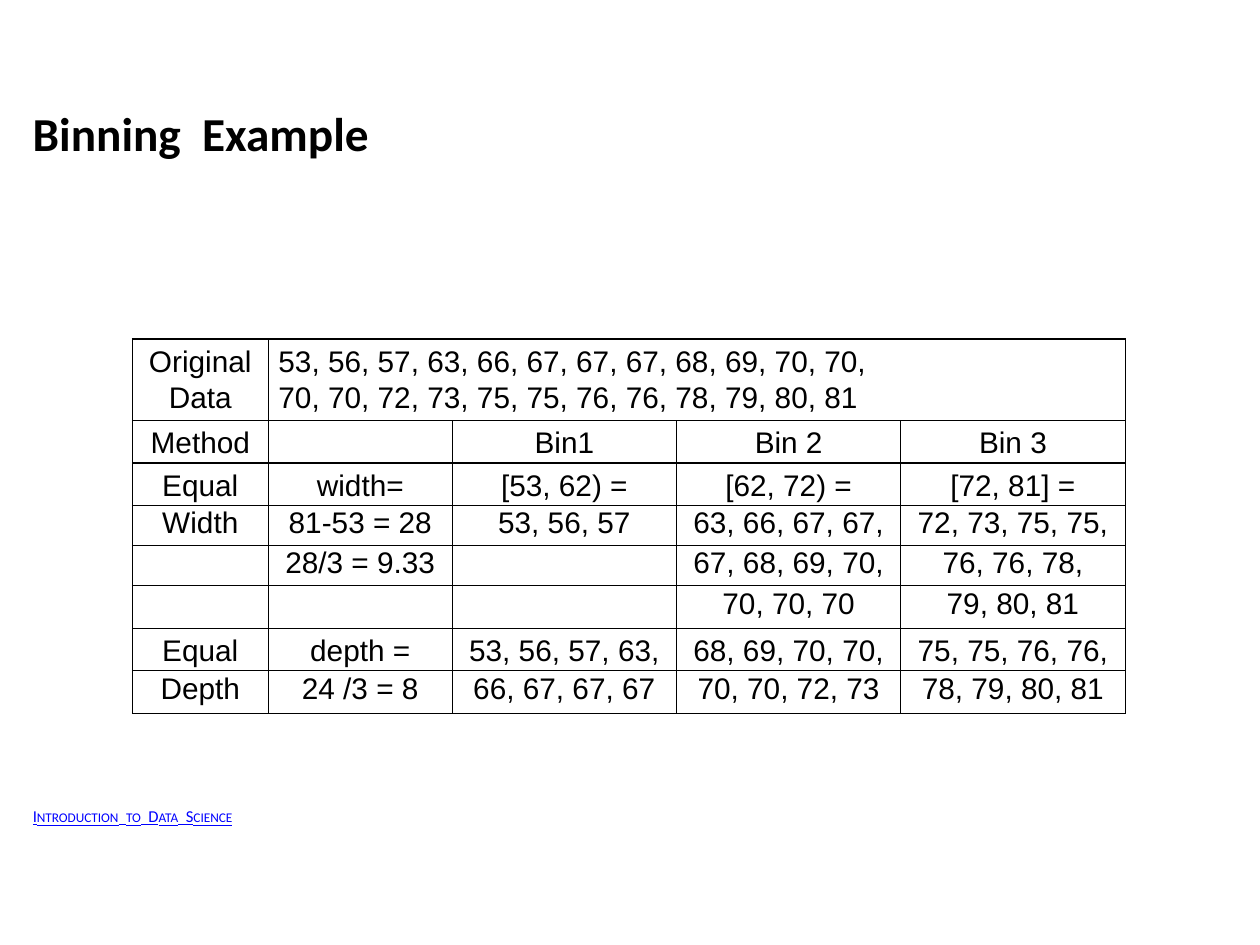
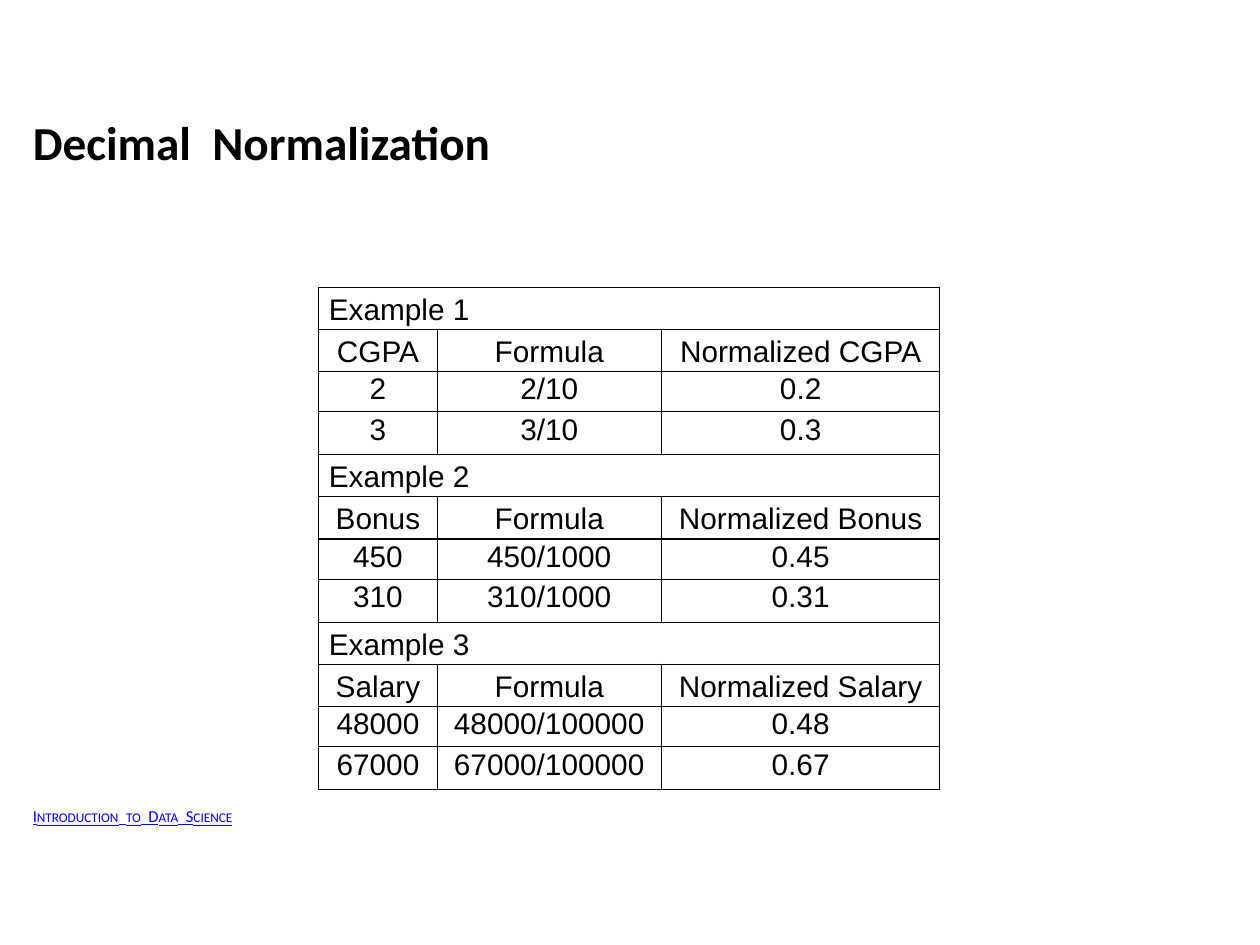
from dataclasses import dataclass
from itertools import groupby

from lxml import etree
from pptx import Presentation
from pptx.dml.color import RGBColor
from pptx.enum.text import MSO_AUTO_SIZE, PP_ALIGN
from pptx.oxml.ns import qn
from pptx.util import Inches, Pt

BLACK = RGBColor(0x00, 0x00, 0x00)
LINK_BLUE = RGBColor(0x00, 0x00, 0xFF)
CENTER, LEFT = PP_ALIGN.CENTER, PP_ALIGN.LEFT
FIT_SHAPE = MSO_AUTO_SIZE.SHAPE_TO_FIT_TEXT

HEADING_FONT, TABLE_FONT = "Calibri", "Arial"
PAGE_LEFT = 0.24
TEXT_INDENT, CELL_INDENT = 0.02, 0.08
BORDER_WIDTH = Pt(0.75)
FOOTER = "Introduction  to  Data  Science"


@dataclass
class Row:
    """A table row; an opening row starts a group and has taller lines."""
    texts: list[str]
    height: float
    opening: bool = False
    span_from: int | None = None  # first column of a left-aligned merged cell


@dataclass
class TablePage:
    title: str
    title_top: float
    title_width: float
    table_left: float
    table_top: float
    columns: list[float]
    rows: list[Row]


def indent(para, inches: float) -> None:
    properties = para._p.get_or_add_pPr()
    properties.set("marL", str(Inches(inches)))
    properties.set("indent", "0")


def style(font, name: str, size: float, color: RGBColor) -> None:
    font.name, font.size = name, Pt(size)
    font.color.rgb = color


def add_box(page, top: float, width: float, height: float, top_inset: float = 0):
    """Add an empty text box at the left page margin and return its paragraph."""
    box = page.shapes.add_textbox(Inches(PAGE_LEFT), Inches(top),
                                  Inches(width), Inches(height))
    frame = box.text_frame
    frame.word_wrap = True
    frame.auto_size = FIT_SHAPE
    frame.margin_left = frame.margin_right = frame.margin_bottom = 0
    frame.margin_top = Inches(top_inset)
    para = frame.paragraphs[0]
    indent(para, TEXT_INDENT)
    return para


def add_title(page, title: str, top: float, width: float) -> None:
    para = add_box(page, top, width, 0.48, 0.03)
    para.text = title
    span = para.runs[0]
    style(span.font, HEADING_FONT, 27, BLACK)
    span.font.bold = True


def add_footer(page) -> None:
    para = add_box(page, 6.38, 2.08, 0.18)
    para.line_spacing = 1.12
    # Lower-case stretches become small capitals
    for is_small, letters in groupby(FOOTER, key=str.islower):
        span = para.add_run()
        span.text = "".join(letters)
        style(span.font, HEADING_FONT, 9.5, LINK_BLUE)
        span.font.underline = True
        if is_small:
            span._r.get_or_add_rPr().set("cap", "small")


def draw_borders(cell) -> None:
    properties = cell._tc.get_or_add_tcPr()
    for position, side in enumerate(("lnL", "lnR", "lnT", "lnB")):
        line = etree.Element(qn(f"a:{side}"), w=str(BORDER_WIDTH))
        fill = etree.SubElement(line, qn("a:solidFill"))
        etree.SubElement(fill, qn("a:srgbClr"), val=str(BLACK))
        properties.insert(position, line)


def fill_cell(cell, text: str, opening: bool, is_span: bool) -> None:
    cell.margin_left = cell.margin_right = cell.margin_bottom = 0
    cell.margin_top = Inches(0 if opening else 0.01)
    cell.fill.background()
    draw_borders(cell)
    cell.text_frame.text = text
    for number, para in enumerate(cell.text_frame.paragraphs):
        if is_span:
            indent(para, CELL_INDENT)
        para.alignment = LEFT if is_span else CENTER
        if number:
            para.space_before = Pt(1.9)
        elif opening:
            para.line_spacing = 1.18
        for span in para.runs:
            style(span.font, TABLE_FONT, 17, BLACK)


def add_grid(page, content: TablePage) -> None:
    frame = page.shapes.add_table(
        len(content.rows), len(content.columns),
        Inches(content.table_left), Inches(content.table_top),
        Inches(sum(content.columns)), Inches(sum(row.height for row in content.rows)))
    table = frame.table
    table.first_row = table.horz_banding = False
    for column, width in zip(table.columns, content.columns):
        column.width = Inches(width)
    last = len(content.columns) - 1
    for row_number, row in enumerate(content.rows):
        table.rows[row_number].height = Inches(row.height)
        texts = row.texts + [""] * (len(content.columns) - len(row.texts))
        for column_number, text in enumerate(texts):
            fill_cell(table.cell(row_number, column_number), text,
                      row.opening, column_number == row.span_from)
        if row.span_from is not None:
            table.cell(row_number, row.span_from).merge(table.cell(row_number, last))


def normalization_rows(number: int, measure: str, divisor: int,
                       results: dict[str, str]) -> list[Row]:
    """Rows of one worked example: caption, headings and two values."""
    values = [[value, f"{value}/{divisor}", result] for value, result in results.items()]
    return [
        Row([f"Example {number}"], 0.33, True, span_from=0),
        Row([measure, "Formula", f"Normalized {measure}"], 0.31, True),
        Row(values[0], 0.32),
        Row(values[1], 0.34),
    ]


BINNING = TablePage(
    "Binning  Example", 0.8, 3.3, 1.05, 2.69, [1.08, 1.46, 1.78, 1.78, 1.78],
    [
        Row(["Original\nData",
             "53, 56, 57, 63, 66, 67, 67, 67, 68, 69, 70, 70,\n"
             "70, 70, 72, 73, 75, 75, 76, 76, 78, 79, 80, 81"], 0.65, True, span_from=1),
        Row(["Method", "", "Bin1", "Bin 2", "Bin 3"], 0.33, True),
        Row(["Equal", "width=", "[53, 62) =", "[62, 72) =", "[72, 81] ="], 0.31, True),
        Row(["Width", "81-53 = 28", "53, 56, 57", "63, 66, 67, 67,", "72, 73, 75, 75,"], 0.32),
        Row(["", "28/3 = 9.33", "", "67, 68, 69, 70,", "76, 76, 78,"], 0.32),
        Row(["", "", "", "70, 70, 70", "79, 80, 81"], 0.34),
        Row(["Equal", "depth =", "53, 56, 57, 63,", "68, 69, 70, 70,",
             "75, 75, 76, 76,"], 0.31, True),
        Row(["Depth", "24 /3 = 8", "66, 67, 67, 67", "70, 70, 72, 73",
             "78, 79, 80, 81"], 0.34),
    ])

NORMALIZATION = TablePage(
    "Decimal  Normalization", 0.87, 4.58, 2.53, 2.28, [0.94, 1.78, 2.21],
    normalization_rows(1, "CGPA", 10, {"2": "0.2", "3": "0.3"})
    + normalization_rows(2, "Bonus", 1000, {"450": "0.45", "310": "0.31"})
    + normalization_rows(3, "Salary", 100000, {"48000": "0.48", "67000": "0.67"}))


def main() -> None:
    deck = Presentation()
    deck.slide_width, deck.slide_height = Inches(10), Inches(7.5)
    for content in (BINNING, NORMALIZATION):
        page = deck.slides.add_slide(deck.slide_layouts[6])
        add_title(page, content.title, content.title_top, content.title_width)
        add_grid(page, content)
        add_footer(page)
    deck.save("out.pptx")


if __name__ == "__main__":
    main()
